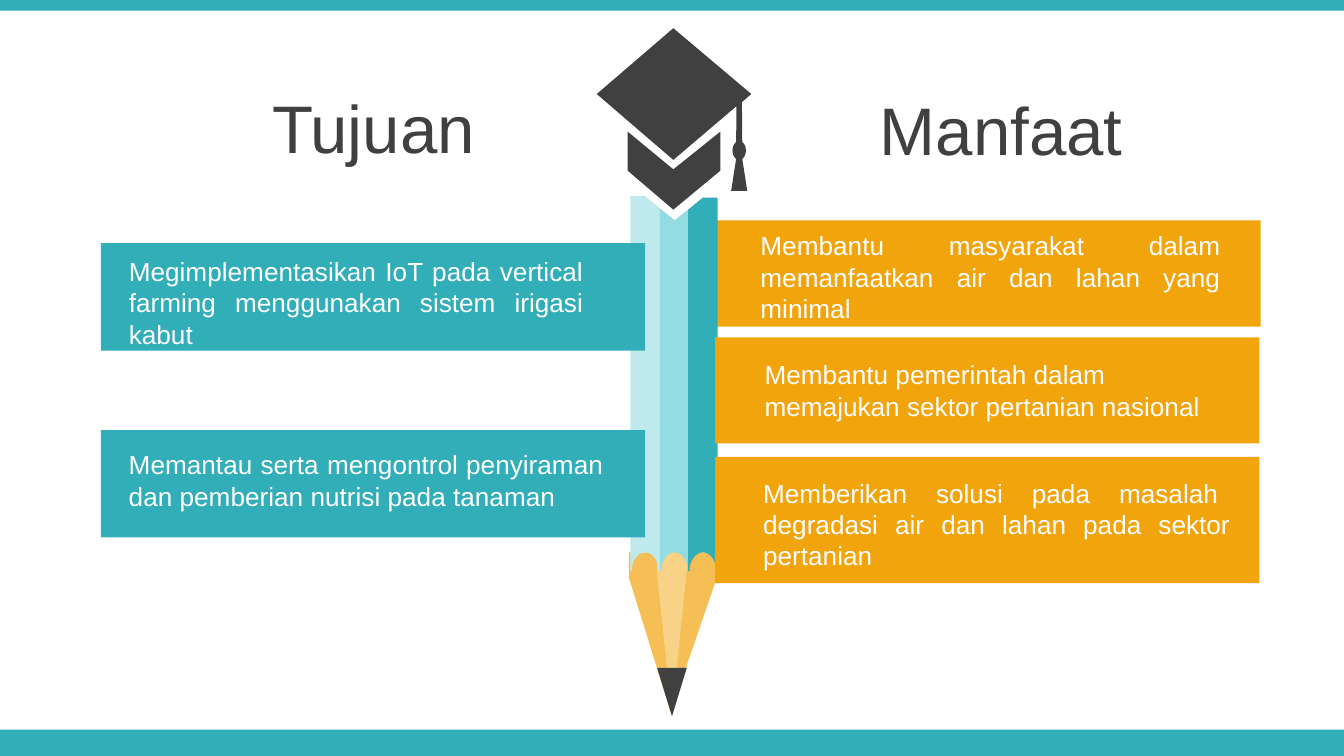
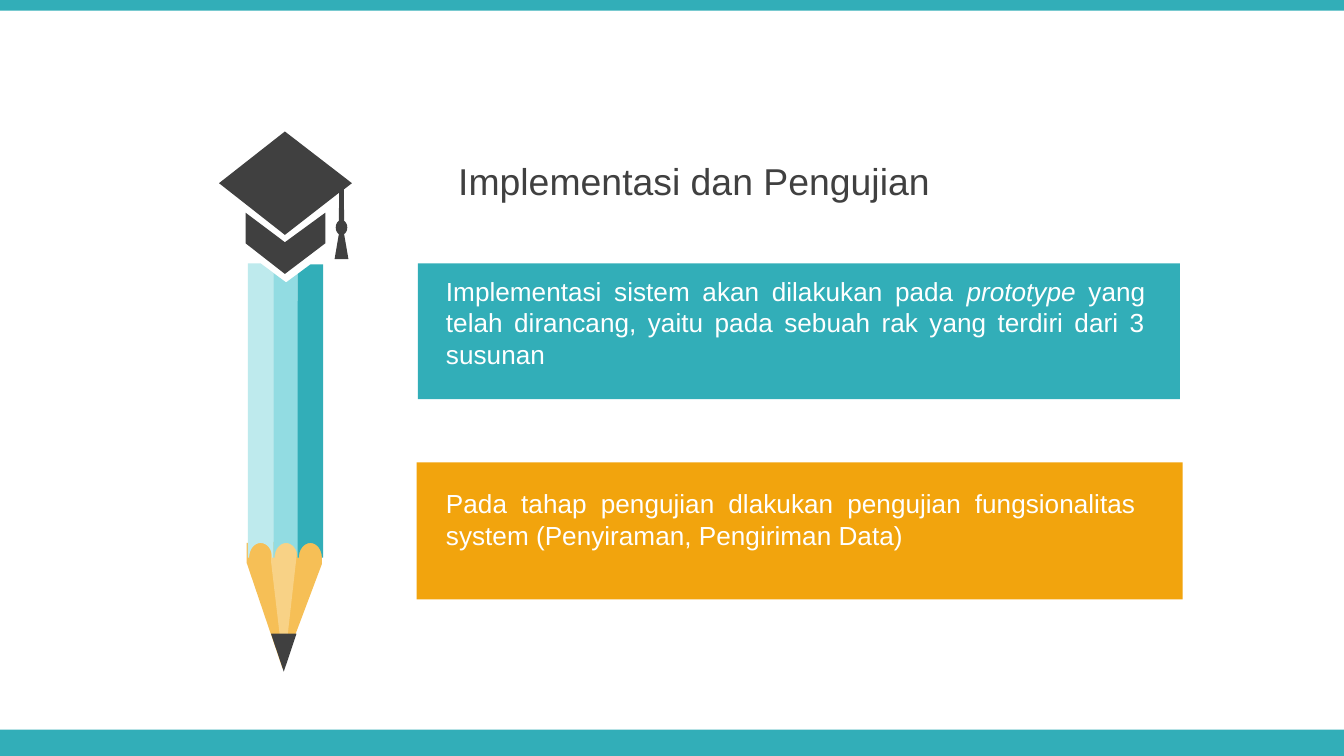
"""Build two pencil-themed slides on the aims, benefits and testing of a farming project."""
from math import cos, pi, sin

from pptx import Presentation
from pptx.dml.color import RGBColor
from pptx.enum.shapes import MSO_SHAPE as Shape
from pptx.enum.text import MSO_ANCHOR as Anchor, MSO_AUTO_SIZE as AutoSize, PP_ALIGN as Align
from pptx.util import Inches, Pt

TEAL = RGBColor(0x32, 0xAE, 0xB8)
AQUA = RGBColor(0x92, 0xDC, 0xE2)
PALE = RGBColor(0xBE, 0xEA, 0xED)
ORANGE = RGBColor(0xF2, 0xA4, 0x0D)
WOOD = RGBColor(0xF6, 0xBF, 0x56)
LIGHT_WOOD = RGBColor(0xF8, 0xD2, 0x86)
DARK = RGBColor(0x40, 0x40, 0x40)
WHITE = RGBColor(0xFF, 0xFF, 0xFF)
FONT = "Arial"


def paint(shape, color):
    """Give a shape a flat fill with no outline or shadow."""
    shape.shadow.inherit = False
    shape.fill.solid()
    shape.fill.fore_color.rgb = color
    shape.line.fill.background()
    return shape


def add_block(page, color, at, kind=Shape.RECTANGLE):
    """Add a flat preset shape."""
    return paint(page.shapes.add_shape(kind, *map(Inches, at)), color)


def add_text(page, at, spans, size, color, align):
    """Add a wrapped text box of (words, italic) spans and return it."""
    box = page.shapes.add_textbox(*map(Inches, at))
    box.text_frame.word_wrap = True
    para = box.text_frame.paragraphs[0]
    para.alignment = align
    for words, italic in spans:
        for number, line in enumerate(words.split("\n")):
            if number:
                para.add_line_break()
            span = para.add_run()
            span.text = line
            span.font.color.rgb = color
            for name, value in {"name": FONT, "size": Pt(size), "italic": italic}.items():
                setattr(span.font, name, value)
    return box


def add_title(page, at, words, size):
    """Add a centred dark heading."""
    frame = add_text(page, at, [(words, False)], size, DARK, Align.CENTER).text_frame
    frame.vertical_anchor = Anchor.MIDDLE
    frame.paragraphs[0].space_before = Pt(size * 0.15)


def add_card(page, color, at, text_at, *spans, align=Align.JUSTIFY):
    """Add a coloured card with white text."""
    add_block(page, color, at)
    box = add_text(page, text_at, spans, 14, WHITE, align)
    box.text_frame.auto_size = AutoSize.SHAPE_TO_FIT_TEXT


def arc(x, y, across, up, start, end, steps=16):
    """List points on an ellipse between two angles in half turns."""
    angles = [pi * (start + (end - start) * step / steps) for step in range(steps + 1)]
    return [(x + across * cos(angle), y - up * sin(angle)) for angle in angles]


def add_pencil(page, center=5.01, top=1.46, wide=1, tall=1):
    """Draw a pencil with a graduation cap, placed by its centre and the top of its body."""

    def place(x, y):
        return Inches(center + (x - 5.01) * wide), Inches(top + (y - 1.46) * tall)

    def outline(color, *contours):
        builder = page.shapes.build_freeform(*place(*contours[0][0]))
        for number, points in enumerate(contours):
            if number:
                builder.move_to(*place(*points[0]))
            builder.add_line_segments([place(*point) for point in points[1:]], close=True)
        paint(builder.convert_to_shape(), color)

    outline(WOOD, [(4.68, 4.11), (5.33, 4.11), (5.33, 4.31), (4.99, 5.3), (4.68, 4.3)])
    outline(LIGHT_WOOD, [(4.89, 4.1), (5.11, 4.1), (5.11, 4.24), (5, 5.31), (4.89, 4.29)])
    stripes = [
        (PALE, 4.69, [(4.69, 1.46), (4.8, 1.46), (4.91, 1.55)]),
        (AQUA, 4.91, [(4.91, 1.55), (5.02, 1.64), (5.12, 1.56)]),
        (TEAL, 5.12, [(5.12, 1.56), (5.23, 1.47), (5.34, 1.47)]),
    ]
    for color, left, edge in stripes:
        scallop = arc(left + 0.11, 4.25, 0.1, 0.14, 0, 1)
        outline(color, edge + [(left + 0.22, 4.25)] + scallop + [(left, 4.25)])

    x, y = place(4.89, 4.97)
    lead = page.shapes.add_shape(
        Shape.ISOSCELES_TRIANGLE, x, y, Inches(0.22 * wide), Inches(0.36 * tall))
    lead.rotation = 180
    paint(lead, DARK)

    band = [(4.67, 0.98), (5.01, 1.26), (5.36, 0.98), (5.36, 1.27), (5.01, 1.56), (4.67, 1.27)]
    knot_right = arc(5.5, 1.12, 0.05, 0.07, 0.35, -0.35)
    knot_left = arc(5.5, 1.12, 0.05, 0.07, 1.35, 0.65)
    board = [(5.01, 0.21), (5.59, 0.7), (5.52, 0.76), *knot_right, (5.56, 1.42),
             (5.44, 1.42), *knot_left, (5.48, 0.79), (5.01, 1.19), (4.44, 0.7)]
    outline(DARK, band, board)


def add_page(deck):
    """Add a blank page with the shared top and bottom bands."""
    page = deck.slides.add_slide(deck.slide_layouts[6])
    for at in [(0, 5.43, 10, 0.2), (0, 0, 10, 0.08)]:
        add_block(page, TEAL, at)
    return page


def build_aims(deck):
    """Build the page of aims and benefits."""
    page = add_page(deck)
    add_card(page, ORANGE, (5.33, 1.64, 4.05, 0.79), (5.56, 1.66, 3.62, 0.81),
             ("Membantu masyarakat dalam memanfaatkan air dan lahan yang minimal", False))
    add_pencil(page)
    add_title(page, (0.56, 0.63, 4.44, 0.63), "Tujuan", 36)
    add_title(page, (5.23, 0.64, 4.44, 0.63), "Manfaat", 36)
    add_card(page, TEAL, (0.75, 1.81, 4.05, 0.8), (0.86, 1.85, 3.58, 0.81),
             ("Megimplementasikan IoT pada vertical farming menggunakan sistem irigasi kabut",
              False))
    add_card(page, TEAL, (0.75, 3.2, 4.05, 0.8), (0.86, 3.29, 3.73, 0.57),
             ("Memantau serta mengontrol penyiraman dan pemberian nutrisi pada tanaman", False))
    add_card(page, ORANGE, (5.32, 2.51, 4.05, 0.79), (5.59, 2.62, 3.78, 0.57),
             ("Membantu pemerintah dalam memajukan sektor pertanian nasional", False),
             align=Align.LEFT)
    add_card(page, ORANGE, (5.32, 3.4, 4.05, 0.94), (5.58, 3.5, 3.8, 0.81),
             ("Memberikan solusi pada masalah \ndegradasi air dan lahan pada sektor \npertanian",
              False))


def build_testing(deck):
    """Build the page on implementation and testing."""
    page = add_page(deck)
    add_pencil(page, center=2.12, top=1.96, wide=0.86, tall=2.19 / 2.79)
    add_title(page, (2.89, 1.17, 4.55, 0.34), "Implementasi dan Pengujian", 20)
    add_card(page, TEAL, (3.11, 1.96, 5.67, 1.01), (3.22, 2, 5.4, 0.81),
             ("Implementasi sistem akan dilakukan pada ", False), ("prototype", True),
             (" yang telah dirancang, yaitu pada sebuah rak yang terdiri dari 3 susunan", False))
    add_card(page, ORANGE, (3.1, 3.44, 5.7, 1.02), (3.22, 3.58, 5.33, 0.57),
             ("Pada tahap pengujian dlakukan pengujian fungsionalitas system "
              "(Penyiraman, Pengiriman Data)", False))


def main():
    """Build and save the deck."""
    deck = Presentation()
    deck.slide_width = Inches(10)
    deck.slide_height = deck.slide_width * 9 // 16
    build_aims(deck)
    build_testing(deck)
    deck.save("out.pptx")


if __name__ == "__main__":
    main()
